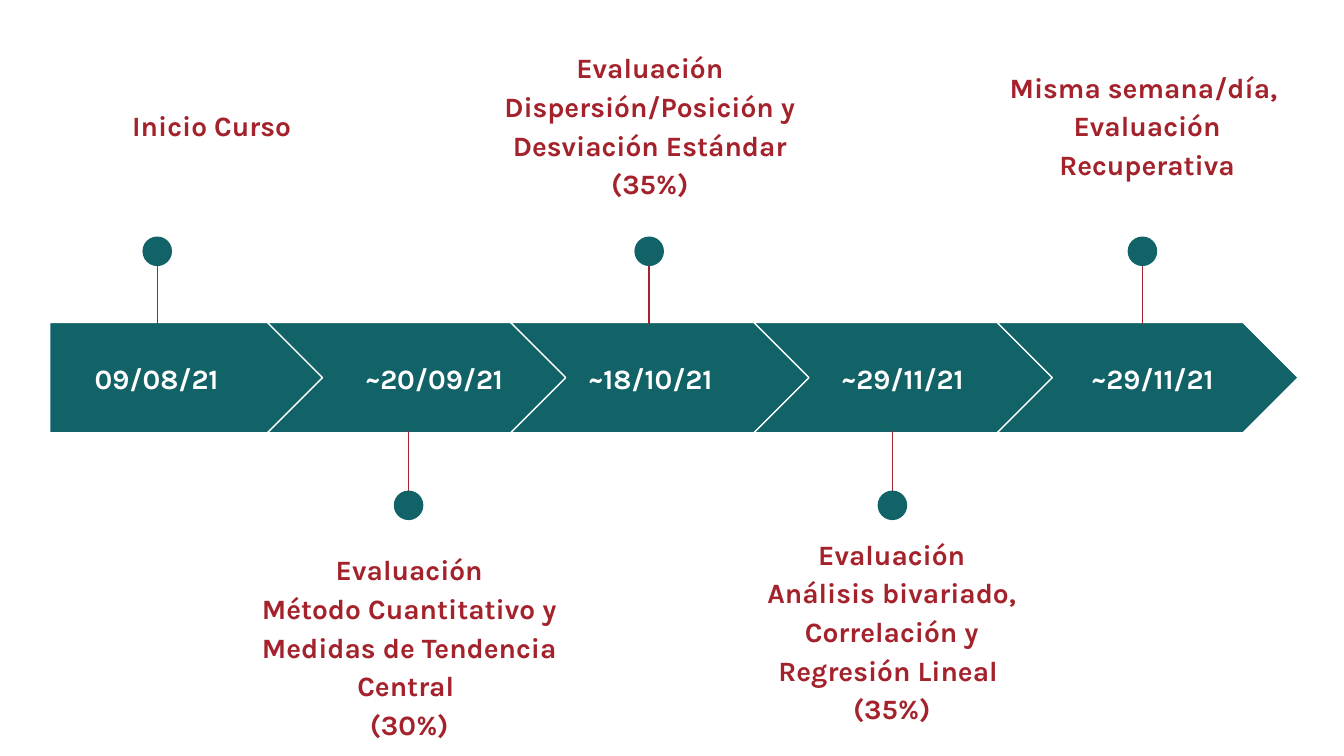
"""Build a course timeline slide with five dated milestones."""
import copy
import dataclasses

import pptx
import pptx.dml.color
import pptx.enum.shapes
import pptx.enum.text
import pptx.oxml
import pptx.oxml.ns
import pptx.util

Inches = pptx.util.Inches
Pt = pptx.util.Pt
MSO_SHAPE = pptx.enum.shapes.MSO_SHAPE
ANCHOR = pptx.enum.text.MSO_ANCHOR

COLORS = {"teal": "126368", "red": "A4222B", "white": "FFFFFF"}
ARROW_TOP, ARROW_HEIGHT, ARROW_PITCH = 2.4, 0.82, 1.81
FIRST_LEFT, FIRST_WIDTH = 0.37, 2.05
CHEVRON_LEFT, CHEVRON_WIDTH = 1.99, 2.24
DOT_SIZE = 0.22
LABEL_WIDTH = 2.45


@dataclasses.dataclass
class Milestone:
    date: str
    date_left: float
    date_width: float
    label: str
    label_left: float
    pin_x: float
    above: bool = True
    label_top: float = 0.42
    label_height: float = 0.99
    anchor: ANCHOR = ANCHOR.MIDDLE


MILESTONES = [
    Milestone("09/08/21", 0.37, 1.59, "Inicio Curso", 0.35, 1.17),
    Milestone("~20/09/21", 2.37, 1.72,
              "Evaluación\nMétodo Cuantitativo y Medidas de Tendencia Central \n(30%)",
              1.82, 3.04, False, 4.11, 1.37),
    Milestone("~18/10/21", 4.12, 1.44,
              "Evaluación\nDispersión/Posición y Desviación Estándar (35%)", 3.61, 4.83),
    Milestone("~29/11/21", 5.92, 1.59,
              "Evaluación\nAnálisis bivariado, Correlación y Regresión Lineal \n(35%)",
              5.41, 6.64, False, 3.86, 0.99, ANCHOR.TOP),
    Milestone("~29/11/21", 7.78, 1.59,
              "Misma semana/día, \nEvaluación\nRecuperativa", 7.31, 8.5),
]


def rgb(name: str) -> pptx.dml.color.RGBColor:
    return pptx.dml.color.RGBColor.from_string(COLORS[name])


def add_filled(shapes, kind: MSO_SHAPE, left: float, top: float, width: float, height: float):
    sp = shapes.add_shape(kind, Inches(left), Inches(top), Inches(width), Inches(height))
    sp.shadow.inherit = False
    sp.fill.solid()
    sp.fill.fore_color.rgb = rgb("teal")
    return sp


def add_arrow(shapes, index: int) -> None:
    if index == 0:
        kind, left, width = MSO_SHAPE.PENTAGON, FIRST_LEFT, FIRST_WIDTH
    else:
        kind, width = MSO_SHAPE.CHEVRON, CHEVRON_WIDTH
        left = CHEVRON_LEFT + (index - 1) * ARROW_PITCH
    sp = add_filled(shapes, kind, left, ARROW_TOP, width, ARROW_HEIGHT)
    sp.adjustments[0] = 0.5
    sp.line.color.rgb = rgb("white")
    sp.line.width = Pt(0.75)


def add_text(shapes, text: str, left: float, top: float, width: float, height: float,
             color: str, anchor: ANCHOR, spacing: dict) -> None:
    sp = shapes.add_textbox(Inches(left), Inches(top), Inches(width), Inches(height))
    tf = sp.text_frame
    frame = {"word_wrap": True, "vertical_anchor": anchor}
    frame.update({f"margin_{side}": Inches(0.1) for side in ("left", "top", "right", "bottom")})
    for name, value in frame.items():
        setattr(tf, name, value)
    p = tf.paragraphs[0]
    p.text = text
    for name, value in {"alignment": pptx.enum.text.PP_ALIGN.CENTER, **spacing}.items():
        setattr(p, name, value)
    for r in p.runs:
        for name, value in {"size": Pt(15), "name": "Karla", "bold": True}.items():
            setattr(r.font, name, value)
        r.font.color.rgb = rgb(color)
    for br in p._p.findall(pptx.oxml.ns.qn("a:br")):
        br.append(copy.deepcopy(p.runs[0]._r.rPr))


def add_pin(shapes, x: float, above: bool) -> None:
    group = shapes.add_group_shape().shapes
    start, end, dot_top = (1.8, 2.41, 1.76) if above else (3.82, 3.21, 3.65)
    line = group.add_connector(pptx.enum.shapes.MSO_CONNECTOR.STRAIGHT,
                               Inches(x), Inches(start), Inches(x), Inches(end))
    line.line.color.rgb = rgb("red")
    line.line.width = Pt(0.75)
    line._element.spPr.append(pptx.oxml.parse_xml(
        f"<a:effectLst {pptx.oxml.ns.nsdecls('a')}/>"))
    dot = add_filled(group, MSO_SHAPE.OVAL, x - DOT_SIZE / 2, dot_top, DOT_SIZE, DOT_SIZE)
    dot.line.fill.background()


def main() -> None:
    prs = pptx.Presentation()
    prs.slide_width = Inches(10)
    prs.slide_height = prs.slide_width * 9 // 16
    shapes = prs.slides.add_slide(prs.slide_layouts[6]).shapes
    for index, m in enumerate(MILESTONES):
        add_arrow(shapes, index)
        add_text(shapes, m.date, m.date_left, 2.56, m.date_width, 0.51,
                 "white", ANCHOR.MIDDLE, {})
        add_pin(shapes, m.pin_x, m.above)
        add_text(shapes, m.label, m.label_left, m.label_top, LABEL_WIDTH, m.label_height,
                 "red", m.anchor, {"line_spacing": 1.15, "space_after": Pt(16)})
    prs.save("out.pptx")


if __name__ == "__main__":
    main()
